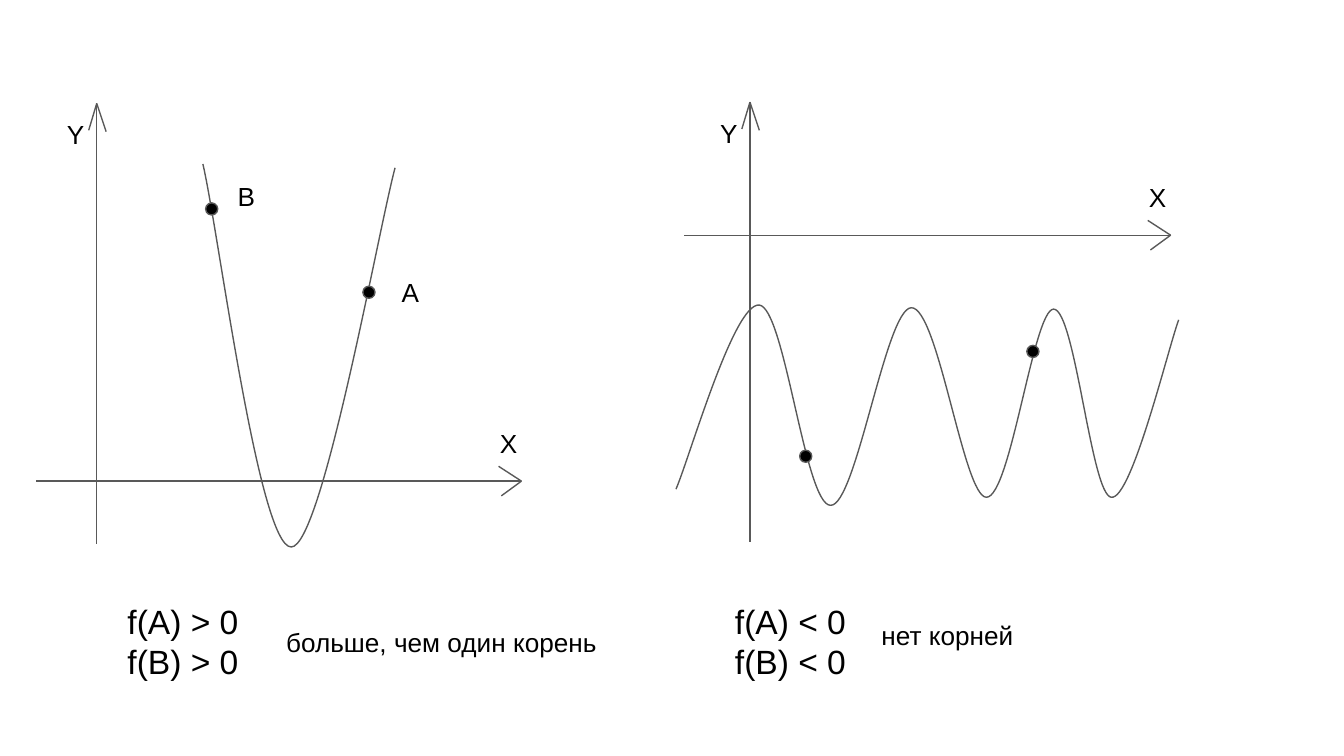
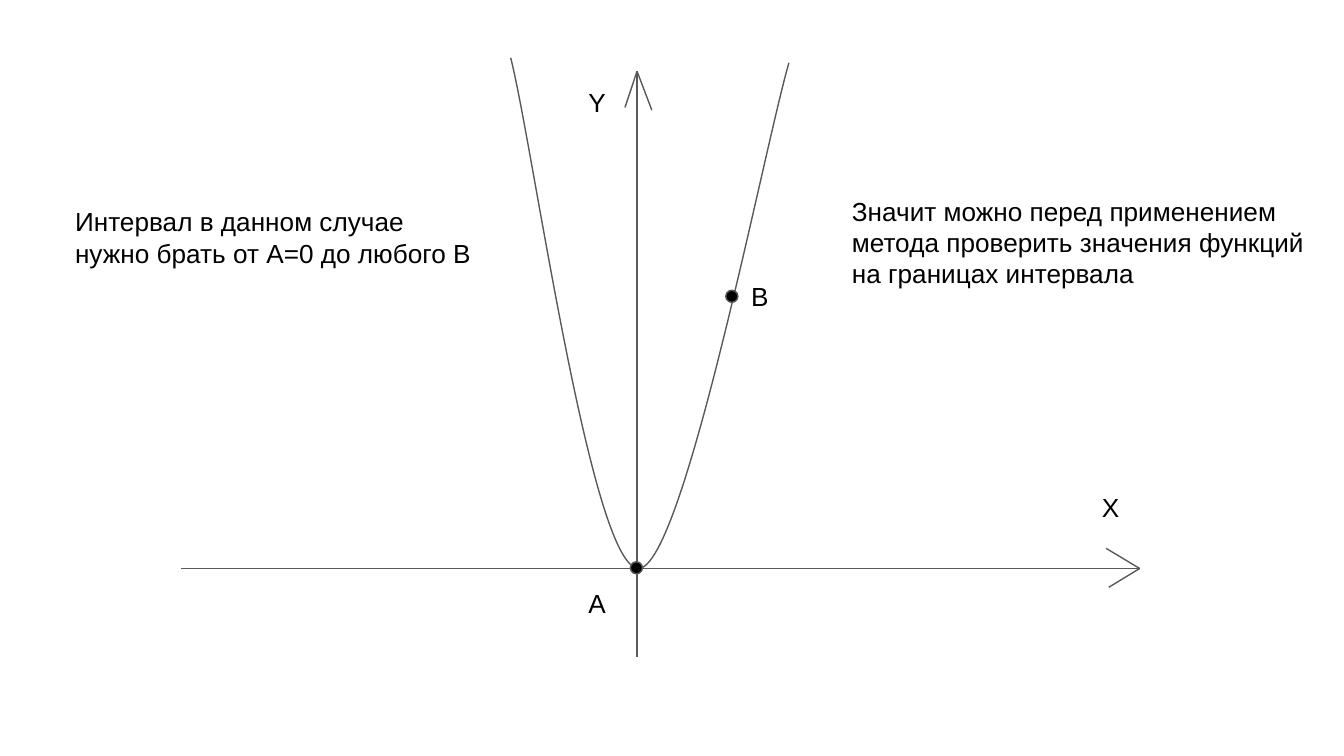
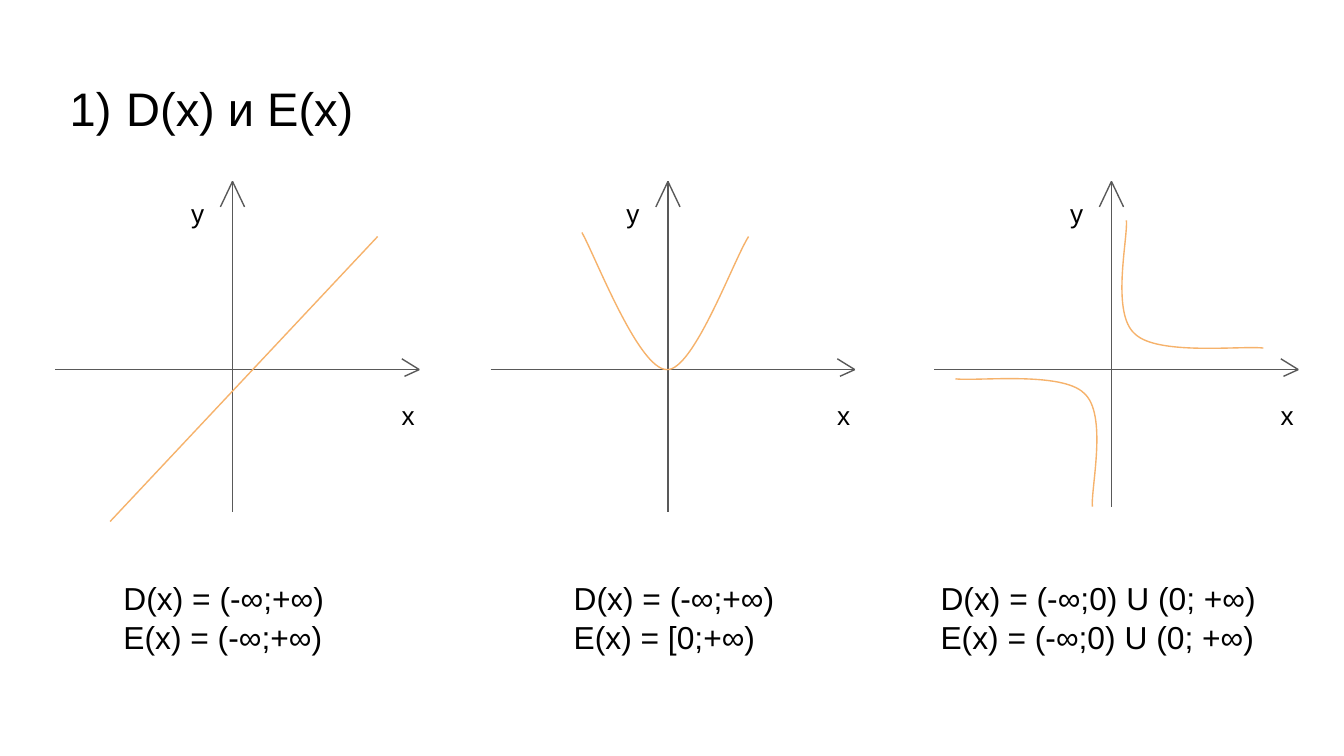
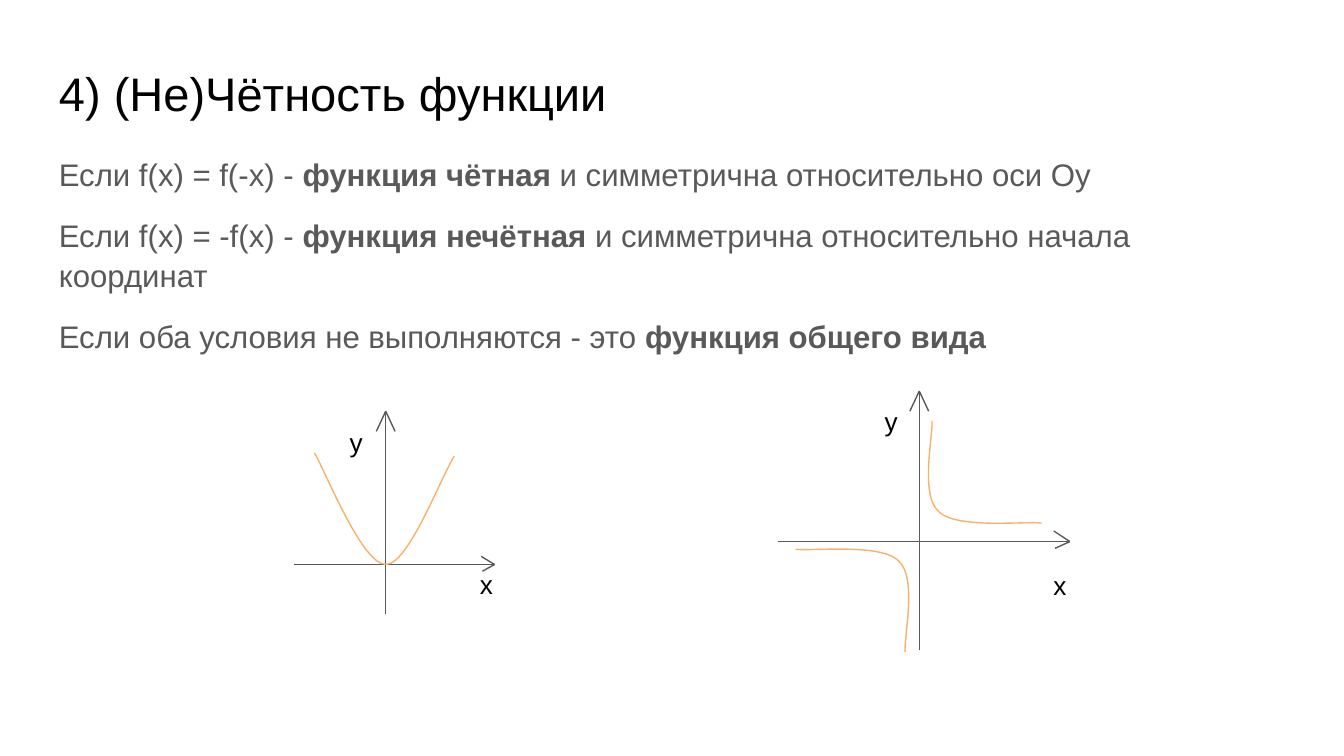
from lxml.etree import SubElement
from pptx import Presentation
from pptx.dml.color import RGBColor
from pptx.enum.shapes import MSO_CONNECTOR, MSO_SHAPE
from pptx.enum.text import MSO_AUTO_SIZE
from pptx.oxml.ns import qn
from pptx.util import Inches, Pt

BLACK = RGBColor(0x00, 0x00, 0x00)
GREY = RGBColor(0x59, 0x59, 0x59)
ORANGE = RGBColor(0xF6, 0xB2, 0x6B)
FONT = "Arial"
LINE_WIDTH = Pt(0.75)
TITLE_SIZE = 25.2
BODY_SIZE = 16.7
CAPTION_SIZE = 17
LABEL_HEIGHT = 0.44

STEEP_PARABOLA = [(0, 0), (0.08, 0.17), (0.29, 1), (0.46, 1),
                  (0.62, 1), (0.91, 0.18), (1, 0.01)]
SHALLOW_PARABOLA = [(0, 0), (0.08, 0.17), (0.34, 1), (0.51, 1),
                    (0.67, 1.01), (0.91, 0.2), (1, 0.03)]
UPPER_BRANCH = [(0.03, 0), (0.04, 0.15), (-0.08, 0.72), (0.09, 0.88),
                (0.25, 1.05), (0.85, 0.97), (1, 0.99)]
LOWER_BRANCH = [(1 - x, 1 - y) for x, y in UPPER_BRANCH]
WAVE = [(0, 1.38), (0.1, 1.15), (0.43, -0.01), (0.62, 0.01),
        (0.81, 0.03), (0.96, 1.5), (1.15, 1.5),
        (1.34, 1.51), (1.56, 0.04), (1.75, 0.03),
        (1.95, 0.02), (2.14, 1.44), (2.31, 1.44),
        (2.49, 1.44), (2.66, 0.04), (2.81, 0.04),
        (2.97, 0.04), (3.09, 1.43), (3.24, 1.44),
        (3.39, 1.46), (3.66, 0.34), (3.74, 0.12)]


def write_text(page, box, lines, size=14, color=BLACK, spacing=None, gap=0, grow=True):
    """Add a text box with one paragraph per line; ** switches bold on and off."""
    frame = page.shapes.add_textbox(*map(Inches, box)).text_frame
    frame.word_wrap = True
    frame.auto_size = MSO_AUTO_SIZE.SHAPE_TO_FIT_TEXT if grow else MSO_AUTO_SIZE.NONE
    frame.margin_left = frame.margin_right = Inches(0.1)
    frame.margin_top = frame.margin_bottom = Inches(0.1)
    for index, line in enumerate(lines):
        para = frame.paragraphs[0] if index == 0 else frame.add_paragraph()
        if spacing:
            para.line_spacing = spacing
        if gap and index:
            para.space_before = Pt(gap)
        for part, words in enumerate(line.split("**")):
            if words:
                span = para.add_run()
                span.text = words
                span.font.name = FONT
                span.font.size = Pt(size)
                span.font.bold = part % 2 == 1
                span.font.color.rgb = color
    return frame


def number_paragraph(para):
    """Turn a paragraph into a hanging item numbered 1)."""
    properties = para._p.get_or_add_pPr()
    properties.set("marL", str(Inches(0.5)))
    properties.set("indent", str(Inches(-0.42)))
    bullet_color = SubElement(properties, qn("a:buClr"))
    SubElement(bullet_color, qn("a:srgbClr"), val=str(BLACK))
    SubElement(properties, qn("a:buFont"), typeface=FONT)
    SubElement(properties, qn("a:buAutoNum"), type="arabicParenR")


def draw_title(page, top, text):
    """Add a slide title at the given height."""
    return write_text(page, (0.34, top, 9.32, 0.63), [text], size=TITLE_SIZE, grow=False)


def draw_line(page, start, end, color=GREY):
    """Draw a thin straight line between two points."""
    line = page.shapes.add_connector(
        MSO_CONNECTOR.STRAIGHT, *map(Inches, (*start, *end)))
    line.line.color.rgb = color
    line.line.width = LINE_WIDTH
    SubElement(line._element.spPr, qn("a:effectLst"))


def draw_curve(page, box, points, color=ORANGE):
    """Draw a smooth curve from Bezier points given as fractions of the box."""
    left, top, width, height = box
    corners = [(Inches(left + x * width), Inches(top + y * height)) for x, y in points]
    builder = page.shapes.build_freeform(*corners[0])
    builder.add_line_segments(corners[1:], close=False)
    curve = builder.convert_to_shape()
    curve.shadow.inherit = False
    curve.fill.background()
    curve.line.color.rgb = color
    curve.line.width = LINE_WIDTH
    segments = curve._element.xpath(".//a:lnTo")
    for first in range(0, len(segments), 3):
        bezier = SubElement(segments[first].getparent(), qn("a:cubicBezTo"))
        for segment in segments[first:first + 3]:
            bezier.append(segment[0])
            segment.getparent().remove(segment)


def draw_dot(page, left, top):
    """Mark a point on a curve."""
    dot = page.shapes.add_shape(
        MSO_SHAPE.OVAL, Inches(left), Inches(top), Inches(0.09), Inches(0.09))
    dot.shadow.inherit = False
    dot.fill.solid()
    dot.fill.fore_color.rgb = BLACK
    dot.line.color.rgb = GREY
    dot.line.width = LINE_WIDTH


def draw_axes(page, box, origin, heads, names, offsets, widths):
    """Draw both axes in a box, with arrowheads and names set off from the tips."""
    left, top, width, height = box
    origin_x, origin_y = left + origin[0], top + origin[1]
    tips = (origin_x, top), (left + width, origin_y)
    draw_line(page, tips[0], (origin_x, top + height))
    draw_line(page, (left, origin_y), tips[1])
    for (x, y), wings, name, (dx, dy), name_width in zip(tips, heads, names, offsets, widths):
        for wing_x, wing_y in wings:
            draw_line(page, (x, y), (x + wing_x, y + wing_y))
        write_text(page, (x + dx, y + dy, name_width, LABEL_HEIGHT), [name])


def build_roots_slide(page):
    """Compare a function with several roots and one without roots."""
    style = dict(heads=([(-0.06, 0.2), (0.07, 0.21)], [(-0.17, -0.11), (-0.15, 0.11)]),
                 names="YX", offsets=((-0.32, 0.01), (-0.26, -0.5)), widths=(3.24, 0.41))
    draw_axes(page, (0.27, 0.77, 3.61, 3.28), (0.45, 2.81), **style)
    draw_curve(page, (1.51, 1.22, 1.43, 2.85), STEEP_PARABOLA, GREY)
    draw_axes(page, (5.09, 0.76, 3.62, 3.27), (0.49, 0.99), **style)
    draw_curve(page, (5.03, 2.26, 1, 1), WAVE, GREY)
    for left, top in ((1.53, 1.51), (2.7, 2.13), (5.95, 3.35), (7.64, 2.57)):
        draw_dot(page, left, top)
    write_text(page, (2.89, 1.96, 0.27, LABEL_HEIGHT), ["А"])
    write_text(page, (1.67, 1.24, 0.23, LABEL_HEIGHT), ["B"])
    for left, sign in ((0.85, ">"), (5.37, "<")):
        write_text(page, (left, 4.37, 4.32, 0.81),
                   [f"f({name}) {sign} 0" for name in "AB"], size=18)
    write_text(page, (2.03, 4.56, 4.32, LABEL_HEIGHT), ["больше, чем один корень"])
    write_text(page, (6.46, 4.51, 4.32, LABEL_HEIGHT), ["нет корней"])


def build_interval_slide(page):
    """Show which interval to take for a parabola touching the axis."""
    draw_axes(page, (1.35, 0.53, 7.13, 4.36), (3.39, 3.7),
              heads=([(-0.09, 0.27), (0.11, 0.29)], [(-0.25, -0.15), (-0.23, 0.14)]),
              names="YX", offsets=((-0.46, 0.01), (-0.38, -0.67)), widths=(4.72, 0.6))
    draw_curve(page, (3.8, 0.43, 2.07, 3.8), STEEP_PARABOLA, GREY)
    draw_dot(page, 4.69, 4.18)
    write_text(page, (4.28, 4.27, 0.39, LABEL_HEIGHT), ["А"])
    draw_dot(page, 5.4, 2.16)
    write_text(page, (5.49, 1.99, 0.39, LABEL_HEIGHT), ["B"])
    write_text(page, (0.46, 1.43, 4.32, 0.67),
               ["Интервал в данном случае", "нужно брать от A=0 до любого B"])
    write_text(page, (6.24, 1.35, 4.32, 0.91),
               ["Значит можно перед применением", "метода проверить значения функций",
                "на границах интервала"])


def build_domain_slide(page):
    """Show domain and range of three functions side by side."""
    title = draw_title(page, 0.49, "D(x) и E(x)")
    number_paragraph(title.paragraphs[0])
    for left, height in ((0.41, 2.46), (3.65, 2.46), (6.95, 2.42)):
        draw_axes(page, (left, 1.35, 2.71, height), (1.32, 1.4),
                  heads=([(-0.09, 0.19), (0.09, 0.19)], [(-0.13, -0.08), (-0.11, 0.05)]),
                  names="yx", offsets=((-0.39, 0.02), (-0.23, 0.12)), widths=(0.18, 0.21))
    draw_line(page, (0.82, 3.88), (2.81, 1.76), ORANGE)
    draw_curve(page, (4.33, 1.73, 1.24, 1.02), SHALLOW_PARABOLA)
    draw_curve(page, (8.35, 1.64, 1.05, 0.96), UPPER_BRANCH)
    draw_curve(page, (7.11, 2.81, 1.05, 0.96), LOWER_BRANCH)
    captions = ((0.82, 2.16, "(-∞;+∞)", "(-∞;+∞)"),
                (4.17, 1.93, "(-∞;+∞)", "[0;+∞)"),
                (6.9, 3.1, "(-∞;0) U (0; +∞)", "(-∞;0) U (0; +∞)"))
    for left, width, domain, values in captions:
        write_text(page, (left, 4.21, width, 0.77),
                   [f"D(x) = {domain}", f"E(x) = {values}"], size=CAPTION_SIZE)


def build_parity_slide(page):
    """Explain even and odd functions with one graph of each."""
    draw_title(page, 0.38, "4) (Не)Чётность функции")
    write_text(page, (0.34, 1.04, 9.3, 1.94), [
        "Если f(x) = f(-x) - **функция чётная** и симметрична относительно оси Оy",
        "Если f(x) = -f(x) - **функция нечётная** и симметрична относительно начала координат",
        "Если оба условия не выполняются - это **функция общего вида**",
    ], size=BODY_SIZE, color=GREY, spacing=1.05, gap=12, grow=False)
    y_head = [(-0.07, 0.15), (0.07, 0.15)]
    draw_axes(page, (2.19, 3.06, 1.49, 1.51), (0.68, 1.14),
              heads=(y_head, [(-0.1, -0.06), (-0.09, 0.05)]),
              names="yx", offsets=((-0.32, 0.01), (-0.18, -0.07)), widths=(0.15, 0.17))
    draw_curve(page, (2.34, 3.37, 1.04, 0.83), SHALLOW_PARABOLA)
    draw_axes(page, (5.79, 2.91, 2.17, 1.93), (1.05, 1.12),
              heads=(y_head, [(-0.12, -0.08), (-0.11, 0.05)]),
              names="yx", offsets=((-0.31, 0.01), (-0.22, 0.11)), widths=(0.15, 0.2))
    draw_curve(page, (6.91, 3.13, 0.84, 0.77), UPPER_BRANCH)
    draw_curve(page, (5.92, 4.08, 0.84, 0.77), LOWER_BRANCH)


def main():
    """Build the deck and save it."""
    deck = Presentation()
    deck.slide_width = Inches(10)
    deck.slide_height = Inches(10) * 9 // 16
    for build in (build_roots_slide, build_interval_slide,
                  build_domain_slide, build_parity_slide):
        build(deck.slides.add_slide(deck.slide_layouts[6]))
    deck.save("out.pptx")


if __name__ == "__main__":
    main()
